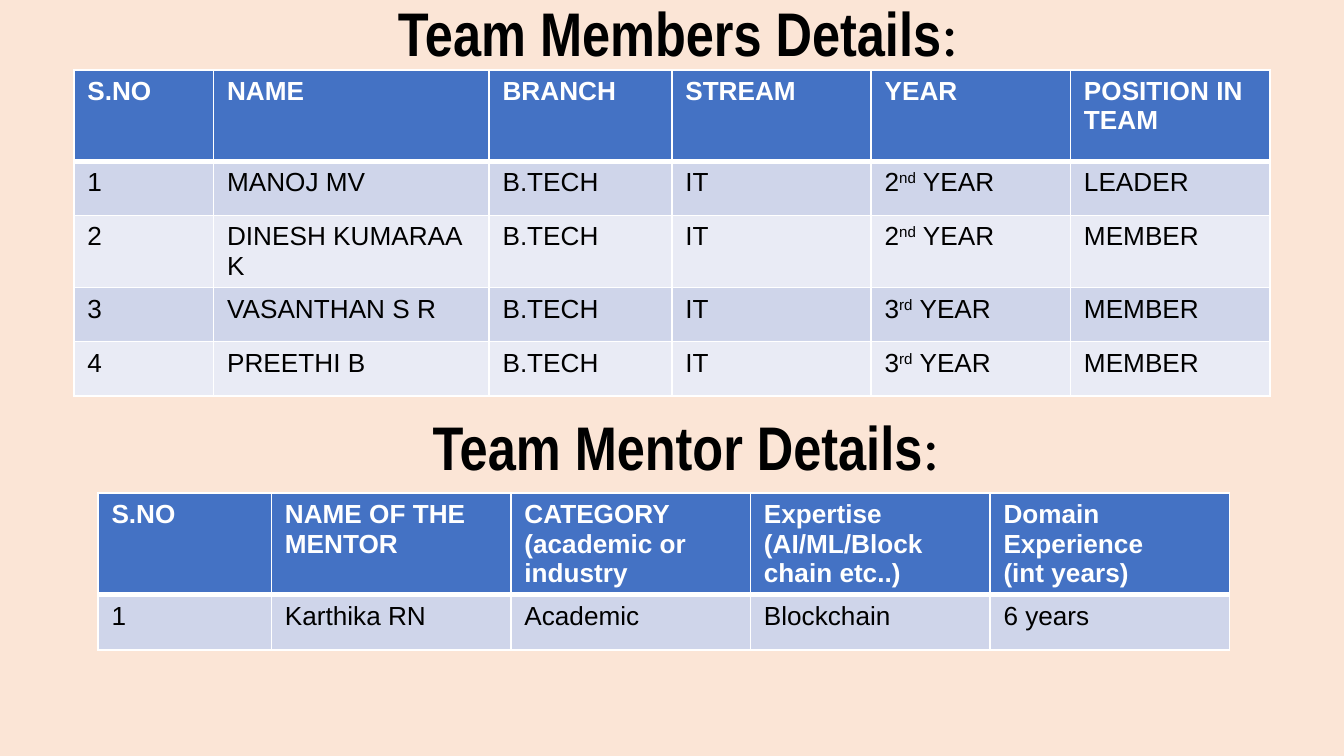
from dataclasses import dataclass
from lxml.etree import SubElement
from pptx import Presentation
from pptx.dml.color import RGBColor
from pptx.enum.text import MSO_ANCHOR, MSO_AUTO_SIZE, PP_ALIGN
from pptx.oxml.ns import qn
from pptx.util import Inches, Pt


@dataclass(frozen=True)
class Theme:
    background: str = "FBE5D6"
    header: str = "4472C4"
    bands: tuple = ("CFD5EA", "E9EBF5")
    white: str = "FFFFFF"
    black: str = "000000"
    heading_font: str = "Arial Narrow"
    colon_font: str = "Calibri"
    body_font: str = "Arial"
    heading_size: int = 33
    body_size: int = 14
    thin_border: int = 1
    header_border: int = 3


theme = Theme()


def add_run(paragraph, text, *, font, size, color, bold=False, superscript=False):
    run = paragraph.add_run()
    run.text = text
    run.font.name = font
    run.font.size = Pt(size)
    run.font.bold = bold
    run.font.color.rgb = RGBColor.from_string(color)
    if superscript:
        run._r.get_or_add_rPr().set("baseline", "30000")


def add_border(cell, side, width):
    line = SubElement(cell._tc.get_or_add_tcPr(), qn(f"a:ln{side}"), w=str(Pt(width)))
    fill = SubElement(line, qn("a:solidFill"))
    SubElement(fill, qn("a:srgbClr"), val=theme.white)


presentation = Presentation()
presentation.slide_width = Inches(10)
presentation.slide_height = Inches(10 * 9 / 16)
slide = presentation.slides.add_slide(presentation.slide_layouts[5])
slide.background.fill.solid()
slide.background.fill.fore_color.rgb = RGBColor.from_string(theme.background)

members = [
    ["S.NO", "NAME", "BRANCH", "STREAM", "YEAR", "POSITION IN TEAM"],
    ["1", "MANOJ MV", "B.TECH", "IT", "2^nd^ YEAR", "LEADER"],
    ["2", "DINESH KUMARAA K", "B.TECH", "IT", "2^nd^ YEAR", "MEMBER"],
    ["3", "VASANTHAN S R", "B.TECH", "IT", "3^rd^ YEAR", "MEMBER"],
    ["4", "PREETHI B", "B.TECH", "IT", "3^rd^ YEAR", "MEMBER"],
]
mentors = [
    ["S.NO", "NAME OF THE MENTOR", "CATEGORY\n(academic or industry",
     "Expertise (AI/ML/Block chain etc..)", "Domain Experience\n(int years)"],
    ["1", "Karthika RN", "Academic", "Blockchain", "6 years"],
]
sections = [
    ("Team Members Details", 2.86, -0.27, members, 0.55, 0.52, 8.9,
     [1.04, 2.05, 1.36], [0.68] + [1.61 / 4] * 4),
    ("Team Mentor Details", 3.12, 2.81, mentors, 0.73, 3.67, 8.42,
     [1.29], [0.41] * 2),
]
for (heading, heading_left, heading_top, rows, table_left, table_top, table_width,
     first_widths, heights) in sections:
    is_title = rows is members
    shape = slide.shapes.title if is_title else slide.shapes.add_textbox(0, 0, 0, 0)
    shape.left, shape.top = Inches(heading_left), Inches(heading_top)
    shape.width, shape.height = Inches(4.65), Inches(1.09)
    frame = shape.text_frame
    frame.word_wrap = True
    frame.auto_size = MSO_AUTO_SIZE.NONE
    frame.vertical_anchor = MSO_ANCHOR.MIDDLE
    paragraph = frame.paragraphs[0]
    paragraph.alignment = PP_ALIGN.LEFT
    paragraph.line_spacing = 0.9
    add_run(paragraph, heading, font=theme.heading_font, size=theme.heading_size,
            color=theme.black, bold=True)
    add_run(paragraph, ":", font=theme.colon_font, size=theme.heading_size,
            color=theme.black)

    equal_columns = len(rows[0]) - len(first_widths)
    equal_width = (table_width - sum(first_widths)) / equal_columns
    widths = first_widths + [equal_width] * equal_columns
    table = slide.shapes.add_table(
        len(rows), len(widths), Inches(table_left), Inches(table_top),
        Inches(table_width), Inches(sum(heights))).table
    for column, width in zip(table.columns, widths):
        column.width = Inches(width)
    for row, height in zip(table.rows, heights):
        row.height = Inches(height)

    for row_index, values in enumerate(rows):
        is_header = row_index == 0
        fill_color = theme.header if is_header else theme.bands[(row_index - 1) % 2]
        text_color = theme.white if is_header else theme.black
        for column_index, value in enumerate(values):
            cell = table.cell(row_index, column_index)
            for side in "LRTB":
                under_header = (row_index, side) in [(0, "B"), (1, "T")]
                add_border(cell, side,
                           theme.header_border if under_header else theme.thin_border)
            cell.fill.solid()
            cell.fill.fore_color.rgb = RGBColor.from_string(fill_color)
            for line_index, line in enumerate(value.split("\n")):
                frame = cell.text_frame
                paragraph = frame.add_paragraph() if line_index else frame.paragraphs[0]
                for part_index, part in enumerate(line.split("^")):
                    add_run(paragraph, part, font=theme.body_font, size=theme.body_size,
                            color=text_color, bold=is_header,
                            superscript=part_index % 2 == 1)

presentation.save("out.pptx")
